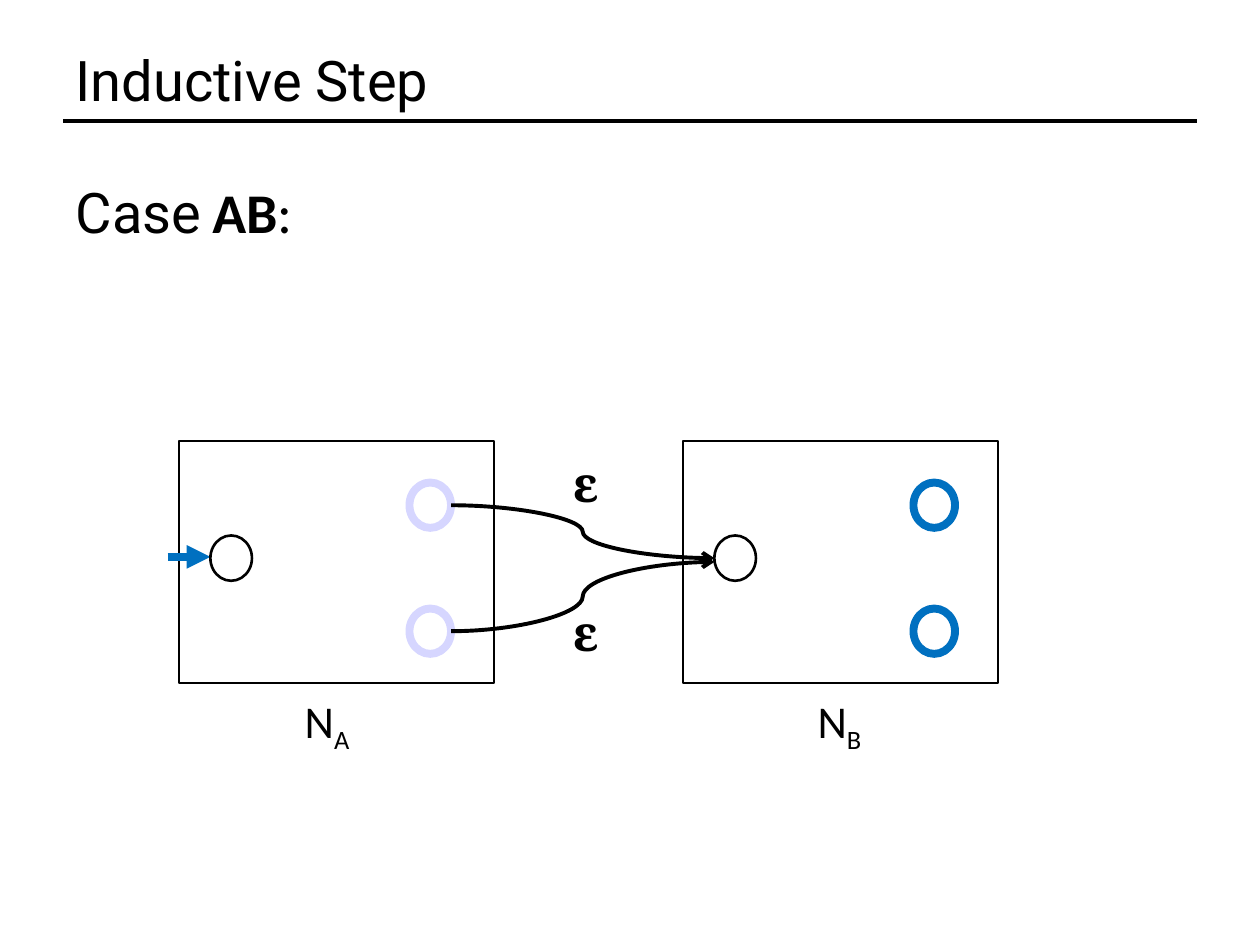
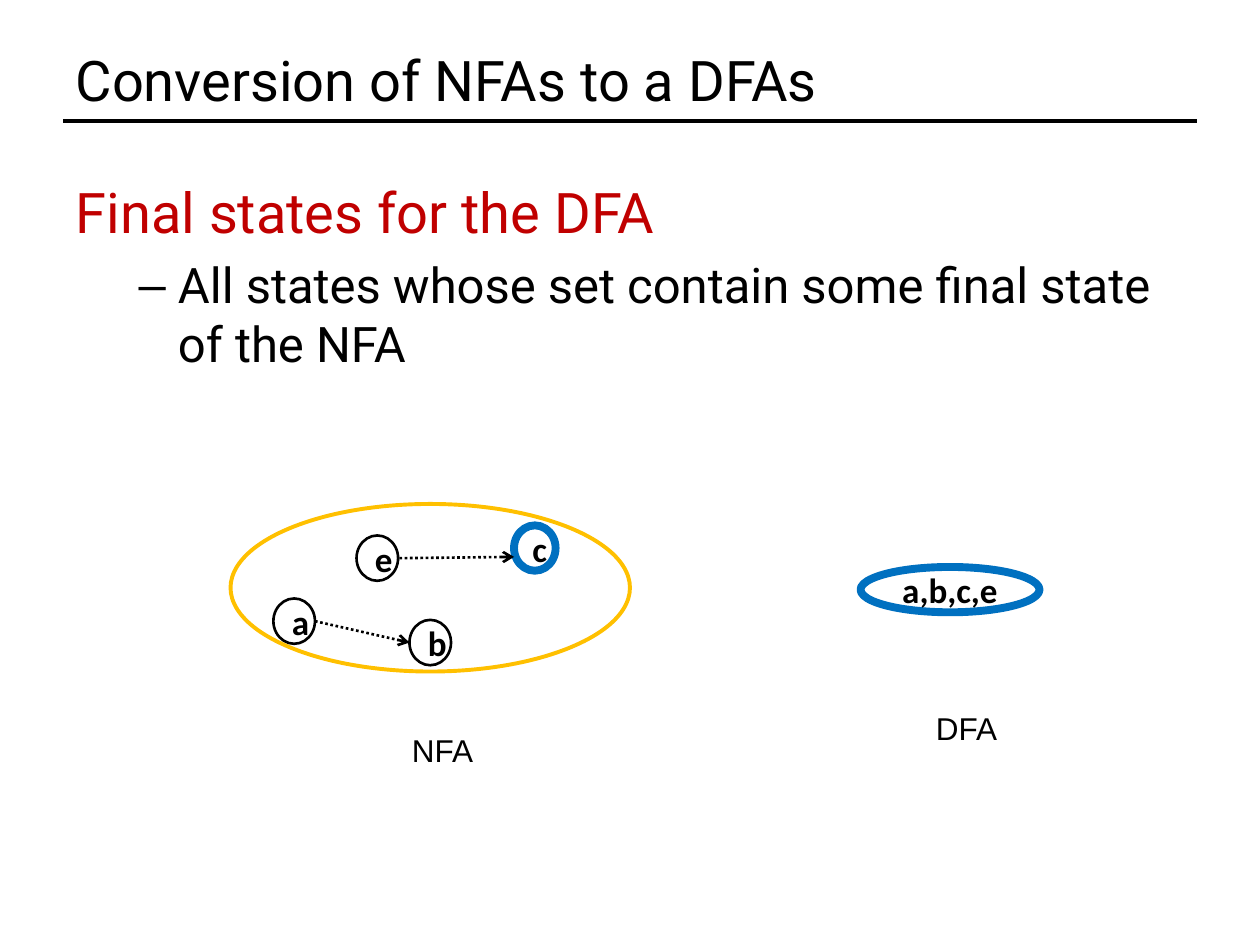
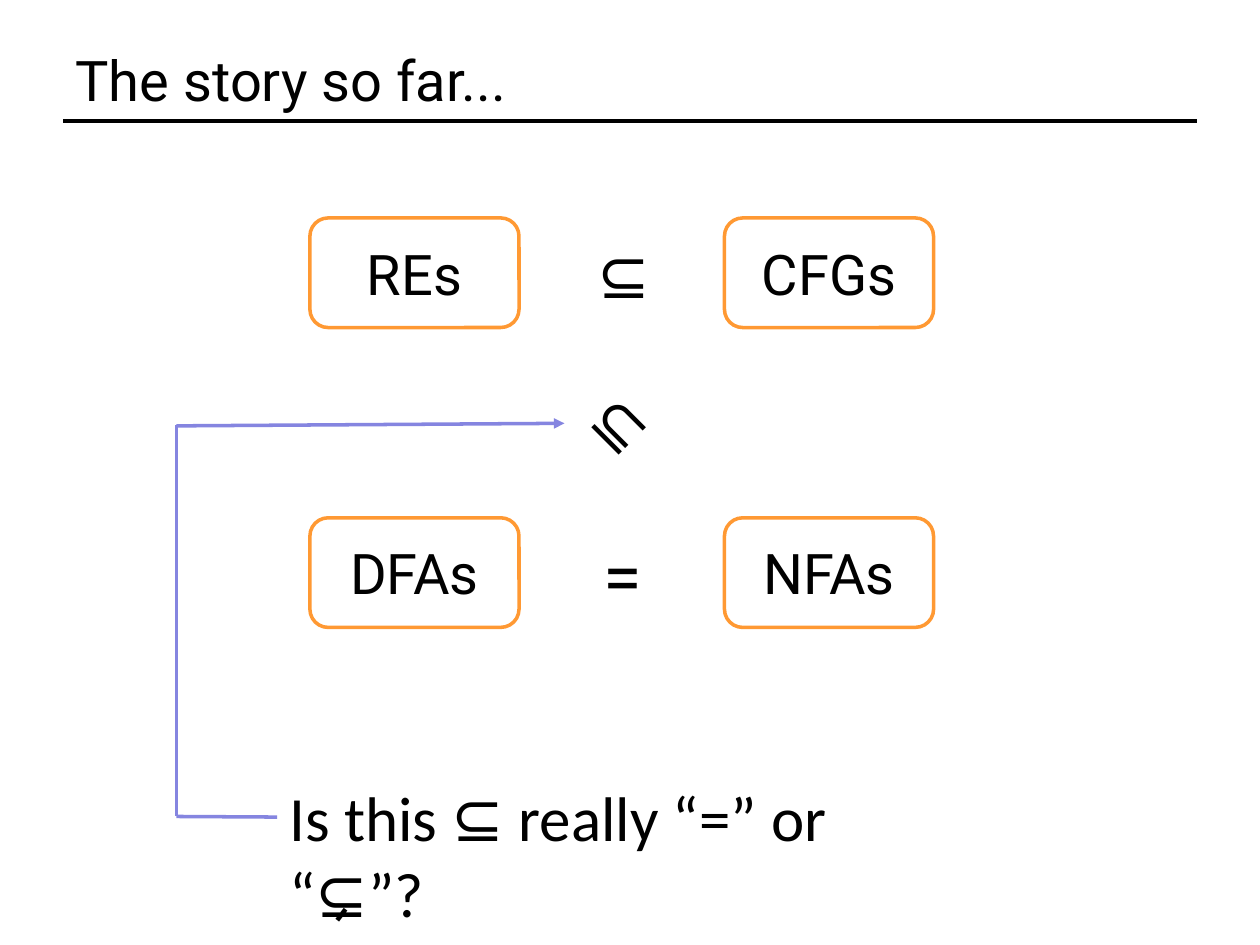
from lxml import etree
from pptx import Presentation
from pptx.dml.color import RGBColor
from pptx.enum.dml import MSO_LINE
from pptx.enum.shapes import MSO_CONNECTOR as LINK, MSO_SHAPE as SHAPE
from pptx.enum.text import MSO_ANCHOR, MSO_AUTO_SIZE, PP_ALIGN
from pptx.oxml.ns import qn
from pptx.util import Inches, Pt

BLACK, BLUE, LILAC = "000000", "0070C0", "D6D6FF"
RED, GOLD, ORANGE, VIOLET = "C00000", "FFC000", "FF9933", "8585E0"
HEAD, PLAIN = "Roboto", "Calibri"
NODE_WIDTH, NODE_HEIGHT = 0.33, 0.36

CASE_BODY = [(2, [
    ("Case", dict(size=32, font=HEAD)),
    (" ", dict(size=28)),
    ("AB", dict(size=32, bold=True)),
    (":", dict(size=32)),
])]
FINAL_BODY = [
    (0, [("Final states for the DFA", dict(size=32, font=HEAD, color=RED))]),
    (1, [("All states whose set contain some final state of the NFA", dict(size=28, font=HEAD))]),
]

MACHINES = [("A", 1.42, 2.32, 0.58, LILAC), ("B", 5.42, 6.39, 0.57, BLUE)]
MACHINE_TOP, START_TOP, FINAL_TOPS = 3.5, 4.25, (3.83, 4.83)
EPSILON_TOPS = (3.55, 4.73)
EPSILON_CURVES = [((3.58, 4.01), (5.67, 4.43)), ((3.58, 5.01), (5.67, 4.46))]

NFA_STATES = [
    ("c", 4.08, 4.17, BLUE, 4.5),
    ("e", 2.83, 4.25, BLACK, 1.5),
    ("b", 3.25, 4.92, BLACK, 1.5),
    ("a", 2.17, 4.75, BLACK, 1.5),
]
NFA_MOVES = [((2.5, 4.93), (3.25, 5.1)), ((3.17, 4.43), (4.08, 4.42))]
AUTOMATON_NAMES = [("NFA", 3.17, 5.75), ("DFA", 7.33, 5.58)]

FORMALISMS = [("REs", "CFGs"), ("DFAs", "NFAs")]
FORMALISM_LEFTS, FORMALISM_TOPS = (2.46, 5.75), (1.73, 4.11)
RELATIONS = [
    ("⊆", (4.64, 1.82, 0.58, 0.71), 36, PLAIN, 0),
    ("=", (4.69, 4.18, 0.53, 0.77), 40, HEAD, 0),
    ("⊆", (4.64, 3, 0.58, 0.71), 36, PLAIN, 45),
]
QUESTION = "Is this ⊆ really “=” or “⊊”?"


def rgb(color):
    """Turn a hex string into a colour."""
    return RGBColor.from_string(color)


def add_span(para, text, size=20, font=PLAIN, color=BLACK, bold=False, baseline=0):
    """Add one formatted run to a paragraph."""
    span = para.add_run()
    span.text = text
    span.font.size, span.font.name, span.font.bold = Pt(size), font, bold
    span.font.color.rgb = rgb(color)
    if baseline:
        span._r.get_or_add_rPr().set("baseline", str(baseline * 1000))


def place(shape, left, top, width, height):
    """Move and size a shape."""
    shape.left, shape.top = Inches(left), Inches(top)
    shape.width, shape.height = Inches(width), Inches(height)


def add_outline(shapes, kind, at, color, weight, text="", **style):
    """Add an unfilled shape with an optional centred label."""
    shape = shapes.add_shape(kind, *map(Inches, at))
    shape.shadow.inherit = False
    shape.fill.background()
    shape.line.color.rgb = rgb(color)
    shape.line.width = Pt(weight)
    if text:
        shape.text_frame.vertical_anchor = MSO_ANCHOR.MIDDLE
        para = shape.text_frame.paragraphs[0]
        para.alignment = PP_ALIGN.CENTER
        add_span(para, text, **style)
    return shape


def add_state(shapes, left, top, color=BLACK, weight=1.5, text="", width=NODE_WIDTH):
    """Add an automaton state."""
    at = (left, top, width, NODE_HEIGHT)
    return add_outline(shapes, SHAPE.OVAL, at, color, weight, text, bold=True)


def add_line(shapes, start, end, color=BLACK, weight=1.5, tail="", dash=None, kind=LINK.STRAIGHT):
    """Add a connector with an optional arrowhead."""
    line = shapes.add_connector(kind, *map(Inches, start + end))
    line.line.color.rgb = rgb(color)
    line.line.width = Pt(weight)
    if dash:
        line.line.dash_style = dash
    if tail:
        etree.SubElement(line.line._get_or_add_ln(), qn("a:tailEnd"), type=tail)
    etree.SubElement(line._element.spPr, qn("a:effectLst"))
    return line


def add_label(page, at, spans, wrap=False):
    """Add a text box made of formatted runs."""
    box = page.shapes.add_textbox(*map(Inches, at))
    box.text_frame.word_wrap = wrap
    box.text_frame.auto_size = MSO_AUTO_SIZE.NONE if wrap else MSO_AUTO_SIZE.SHAPE_TO_FIT_TEXT
    for text, style in spans:
        add_span(box.text_frame.paragraphs[0], text, **style)
    return box


def add_page(deck, title, body=()):
    """Add a slide with its title, rule and optional body list."""
    page = deck.slides.add_slide(deck.slide_layouts[1 if body else 5])
    add_line(page.shapes, (0.5, 0.96), (9.5, 0.96), weight=2)
    heading = page.shapes.title
    place(heading, 0.5, 0.3, 9, 0.66)
    heading.text_frame.auto_size = MSO_AUTO_SIZE.NONE
    heading.text_frame.vertical_anchor = MSO_ANCHOR.MIDDLE
    para = heading.text_frame.paragraphs[0]
    para.alignment = PP_ALIGN.LEFT
    add_span(para, title, size=32, font=HEAD)
    if body:
        box = page.placeholders[1]
        place(box, 0.5, 1.36, 9, 5.62)
        fill_body(box.text_frame, body)
    return page


def fill_body(frame, body):
    """Write the body list; only the second level keeps its dash."""
    frame.auto_size = MSO_AUTO_SIZE.NONE
    for index, (level, spans) in enumerate(body):
        para = frame.add_paragraph() if index else frame.paragraphs[0]
        para.level = level
        if level != 1:
            props = para._p.get_or_add_pPr()
            props.set("marL", "0")
            props.set("indent", "0")
            etree.SubElement(props, qn("a:buNone"))
        for text, style in spans:
            add_span(para, text, **style)


def build_inductive_step(deck):
    """Draw two machines joined by empty moves."""
    page = add_page(deck, "Inductive Step", CASE_BODY)
    for name, left, label_left, label_width, final_color in MACHINES:
        group = page.shapes.add_group_shape().shapes
        add_outline(group, SHAPE.RECTANGLE, (left, MACHINE_TOP, 2.5, 1.92), BLACK, 1)
        if name == "A":
            add_line(group, (1.33, 4.42), (1.67, 4.42), BLUE, 4.5, "triangle")
        add_state(group, left + 0.25, START_TOP)
        for top in FINAL_TOPS:
            add_state(group, left + 1.83, top, final_color, 4.5)
        add_label(page, (label_left, 5.45, label_width, 0.54),
                  [("N", dict(size=26)), (name, dict(size=26, baseline=-25))])
    for top, (start, end) in zip(EPSILON_TOPS, EPSILON_CURVES):
        add_label(page, (4.45, top, 0.39, 0.57), [("ɛ", dict(size=28, font="Cambria", bold=True))])
        add_line(page.shapes, start, end, weight=2.25, tail="arrow", kind=LINK.CURVE)


def build_conversion(deck):
    """Draw a set of NFA states beside its DFA state."""
    page = add_page(deck, "Conversion of NFAs to a DFAs", FINAL_BODY)
    add_state(page.shapes, 6.83, 4.5, BLUE, 4.5, "a,b,c,e", width=1.42)
    group = page.shapes.add_group_shape().shapes
    for name, left, top, color, weight in NFA_STATES:
        add_state(group, left, top, color, weight, name)
    for start, end in NFA_MOVES:
        add_line(group, start, end, tail="arrow", dash=MSO_LINE.ROUND_DOT)
    for name, left, top in AUTOMATON_NAMES:
        add_label(page, (left, top, 0.69, 0.4), [(name, dict(size=18, font="Arial"))])
    add_outline(page.shapes, SHAPE.OVAL, (1.83, 4, 3.17, 1.33), GOLD, 2.25)


def build_story(deck):
    """Draw the formalisms, their relations and the open question."""
    page = add_page(deck, "The story so far...")
    for text, at, size, font, angle in RELATIONS:
        add_label(page, at, [(text, dict(size=size, font=font))]).rotation = angle
    for top, names in zip(FORMALISM_TOPS, FORMALISMS):
        for left, name in zip(FORMALISM_LEFTS, names):
            add_outline(page.shapes, SHAPE.ROUNDED_RECTANGLE, (left, top, 1.66, 0.87),
                        ORANGE, 2, name, size=32, font=HEAD)
    question = add_label(page, (2.2, 6.13, 5.61, 0.71), [(QUESTION, dict(size=36))], wrap=True)
    question.text_frame.margin_right = Inches(0.4)
    add_line(page.shapes, (1.4, 3.38), (4.48, 3.36), VIOLET, 2, "triangle")
    add_line(page.shapes, (1.4, 3.37), (1.4, 6.48), VIOLET, 2)
    add_line(page.shapes, (1.4, 6.48), (2.2, 6.48), VIOLET, 2).end_connect(question, 1)


def main():
    """Build and save the deck."""
    deck = Presentation()
    deck.slide_width, deck.slide_height = Inches(10), Inches(7.5)
    build_inductive_step(deck)
    build_conversion(deck)
    build_story(deck)
    deck.save("out.pptx")


if __name__ == "__main__":
    main()
